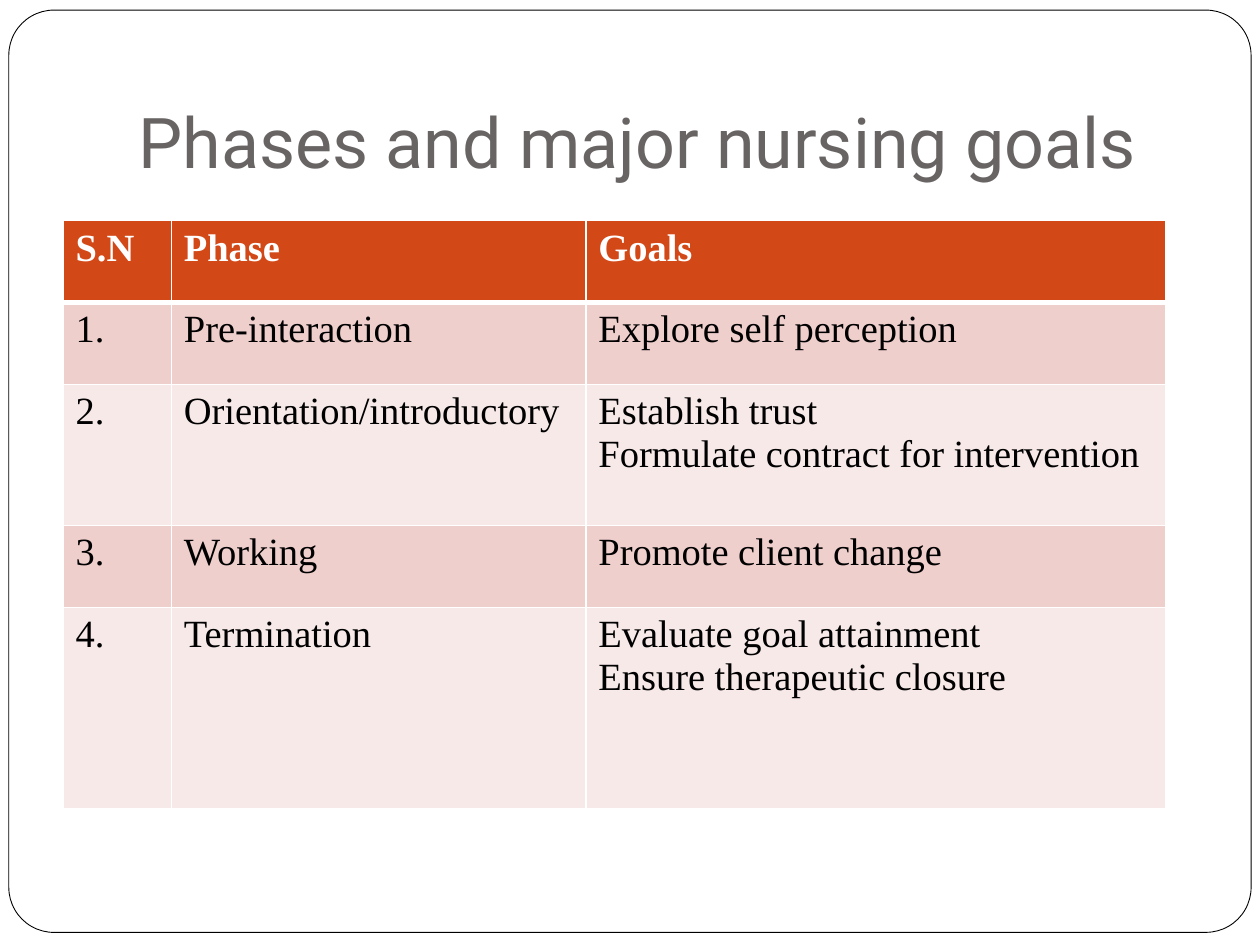
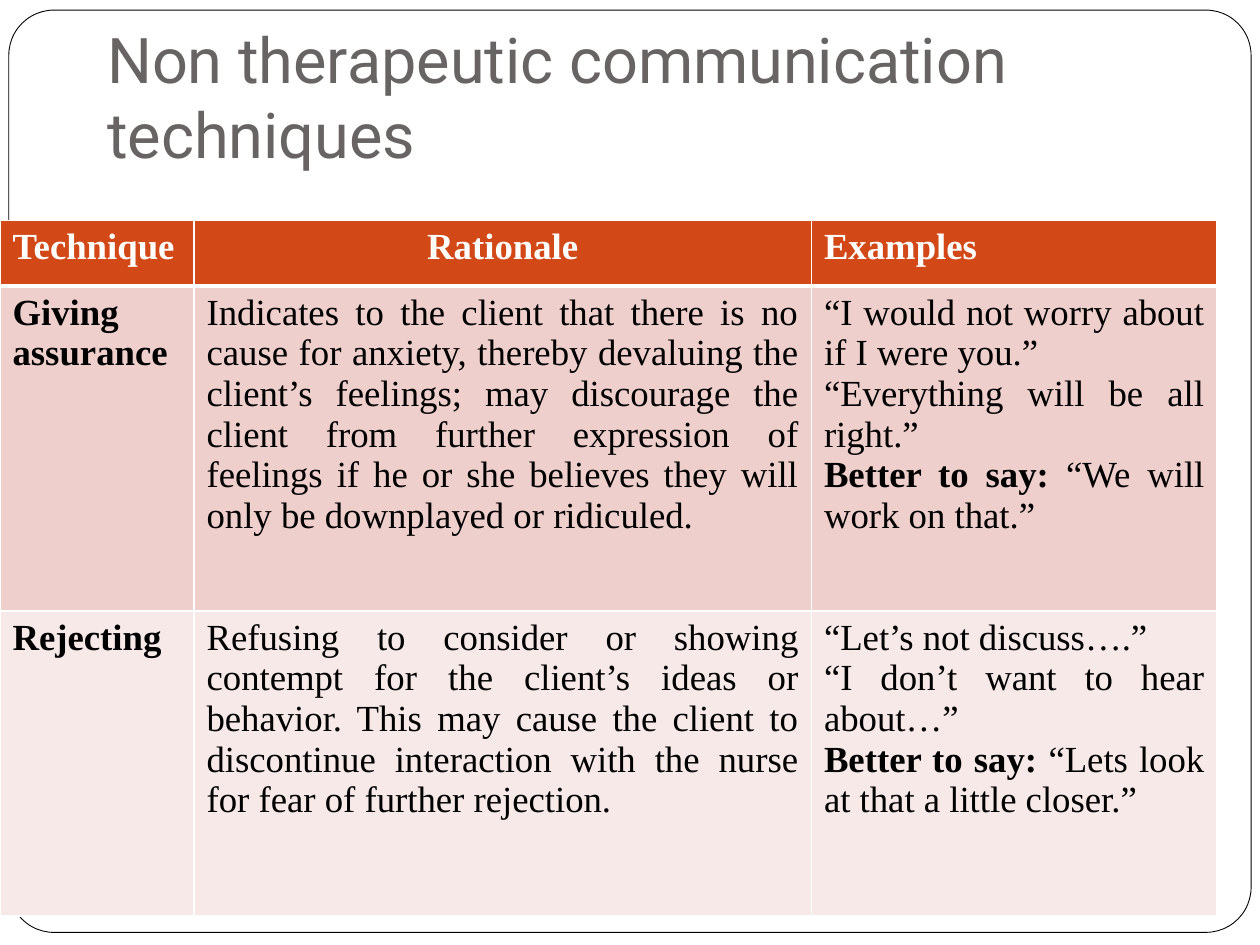
from lxml.etree import SubElement
from pptx import Presentation
from pptx.dml.color import RGBColor
from pptx.enum.shapes import MSO_SHAPE
from pptx.enum.text import MSO_ANCHOR, MSO_AUTO_SIZE, PP_ALIGN
from pptx.oxml.ns import qn
from pptx.util import Inches, Pt

# Shared look
WHITE, BLACK, TITLE_GREY = "FFFFFF", "000000", "696464"
HEADER_FILL = "D34817"
BAND_FILLS = ("EFCFCC", "F7E9E8")
TITLE_FONT, TABLE_FONT = "Roboto", "Times New Roman"
TABLE_TOP = 1.75

# Each cell is a list of paragraphs; text between asterisks is bold
PHASES = [
    [["*S.N*"], ["*Phase*"], ["*Goals*"]],
    [["1."], ["Pre-interaction"], ["Explore self perception"]],
    [["2."], ["Orientation/introductory"],
     ["Establish trust", "Formulate contract for intervention"]],
    [["3."], ["Working"], ["Promote client change"]],
    [["4."], ["Termination"],
     ["Evaluate goal attainment", "Ensure therapeutic closure"]],
]
TECHNIQUES = [
    [["*Technique*"], ["*Rationale*"], ["*Examples*"]],
    [["*Giving assurance*"],
     ["Indicates to the client that there is no cause for anxiety, thereby "
      "devaluing the client’s feelings; may discourage the client from "
      "further expression of feelings if he or she believes they will only "
      "be downplayed or ridiculed."],
     ["“I would not worry about if I were you.”",
      "“Everything will be all right.”",
      "*Better to say: *“We will work on that.”"]],
    [["*Rejecting*"],
     ["Refusing to consider or showing contempt for the client’s ideas or "
      "behavior. This may cause the client to discontinue interaction with "
      "the nurse for fear of further rejection."],
     ["“Let’s not discuss….”",
      "“I don’t want to hear about…”",
      "*Better to say: *“Lets look at that a little closer.”"]],
]


def rgb(value):
    return RGBColor.from_string(value)


def add_run(p, text, font, size, color, bold=False):
    r = p.add_run()
    r.text = text
    r.font.name, r.font.size, r.font.bold = font, Pt(size), bold
    r.font.color.rgb = rgb(color)


def add_frame(s):
    """Rounded outline behind everything on the slide."""
    frame = s.shapes.add_shape(MSO_SHAPE.ROUNDED_RECTANGLE, Inches(0.07),
                               Inches(0.08), Inches(9.86), Inches(7.32))
    frame.adjustments[0] = 0.049
    frame.shadow.inherit = False
    frame.fill.solid()
    frame.fill.fore_color.rgb = rgb(WHITE)
    frame.line.color.rgb = rgb(BLACK)
    frame.line.width = Pt(0.5)
    s.shapes.title.element.addprevious(frame.element)


def set_title(s, text, left, top, width, size):
    title = s.shapes.title
    title.left, title.top = Inches(left), Inches(top)
    title.width, title.height = Inches(width), Inches(1.25)
    tf = title.text_frame
    tf.word_wrap = True
    tf.auto_size = MSO_AUTO_SIZE.NONE
    tf.vertical_anchor = MSO_ANCHOR.BOTTOM
    tf.margin_left = tf.margin_right = tf.margin_bottom = Inches(0.1)
    tf.margin_top = Inches(0.05)
    p = tf.paragraphs[0]
    p.alignment = PP_ALIGN.LEFT
    add_run(p, text, TITLE_FONT, size, TITLE_GREY)


def set_borders(cell, top, bottom):
    tc_pr = cell._tc.get_or_add_tcPr()
    for side, width in (("L", 1), ("R", 1), ("T", top), ("B", bottom)):
        ln = SubElement(tc_pr, qn(f"a:ln{side}"), w=str(Pt(width)))
        fill = SubElement(ln, qn("a:solidFill"))
        SubElement(fill, qn("a:srgbClr"), val=WHITE)


def fill_cell(cell, paragraphs, size, color, fill, align):
    cell.fill.solid()
    cell.fill.fore_color.rgb = rgb(fill)
    tf = cell.text_frame
    for i, text in enumerate(paragraphs):
        p = tf.add_paragraph() if i else tf.paragraphs[0]
        p.alignment = align
        for j, part in enumerate(text.split("*")):
            if part:
                add_run(p, part, TABLE_FONT, size, color, bold=j % 2 == 1)


def add_table(s, rows, left, widths, heights, size, centred_header=None):
    table = s.shapes.add_table(
        len(rows), len(widths), Inches(left), Inches(TABLE_TOP),
        Inches(sum(widths)), Inches(sum(heights))).table
    for column, width in zip(table.columns, widths):
        column.width = Inches(width)
    for row, height in zip(table.rows, heights):
        row.height = Inches(height)
    for i, row in enumerate(rows):
        header = i == 0
        color = WHITE if header else BLACK
        fill = HEADER_FILL if header else BAND_FILLS[(i - 1) % 2]
        for j, paragraphs in enumerate(row):
            centred = header and j == centred_header
            align = PP_ALIGN.CENTER if centred else PP_ALIGN.JUSTIFY
            cell = table.cell(i, j)
            # A thick rule separates the header from the first row
            set_borders(cell, top=3 if i == 1 else 1, bottom=3 if header else 1)
            fill_cell(cell, paragraphs, size, color, fill, align)


def add_slide(prs):
    s = prs.slides.add_slide(prs.slide_layouts[5])
    add_frame(s)
    return s


def main():
    prs = Presentation()
    prs.slide_width, prs.slide_height = Inches(10), Inches(7.5)

    # Phases and goals
    s = add_slide(prs)
    set_title(s, "Phases and major nursing goals", 1, 0.3, 8.5, 40)
    add_table(s, PHASES, 0.5, (0.86, 3.29, 4.6),
              (0.65, 0.65, 1.12, 0.65, 1.6), 22)

    # Non therapeutic techniques
    s = add_slide(prs)
    set_title(s, "Non therapeutic communication techniques",
              0.75, 0.21, 8.75, 36)
    add_table(s, TECHNIQUES, 0, (1.54, 4.9, 3.22), (0.52, 2.58, 2.42), 21,
              centred_header=1)

    prs.save("out.pptx")


if __name__ == "__main__":
    main()
